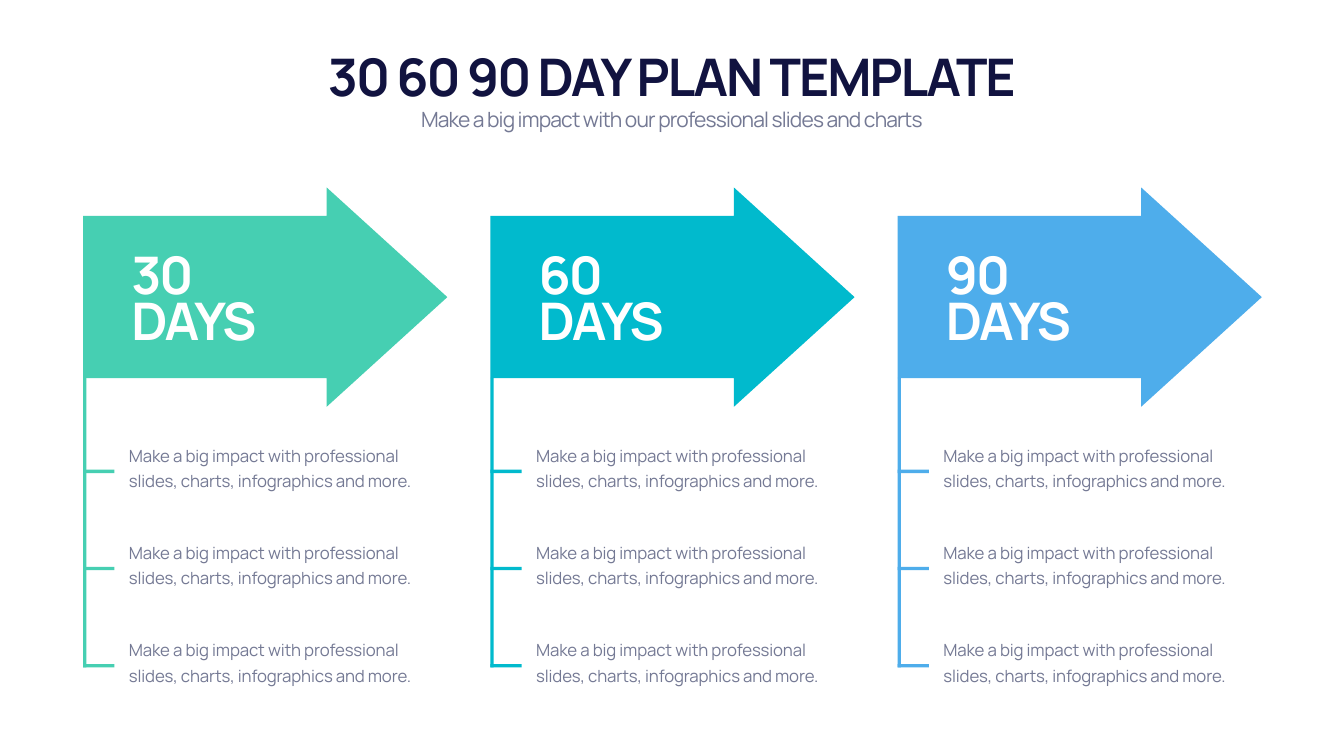
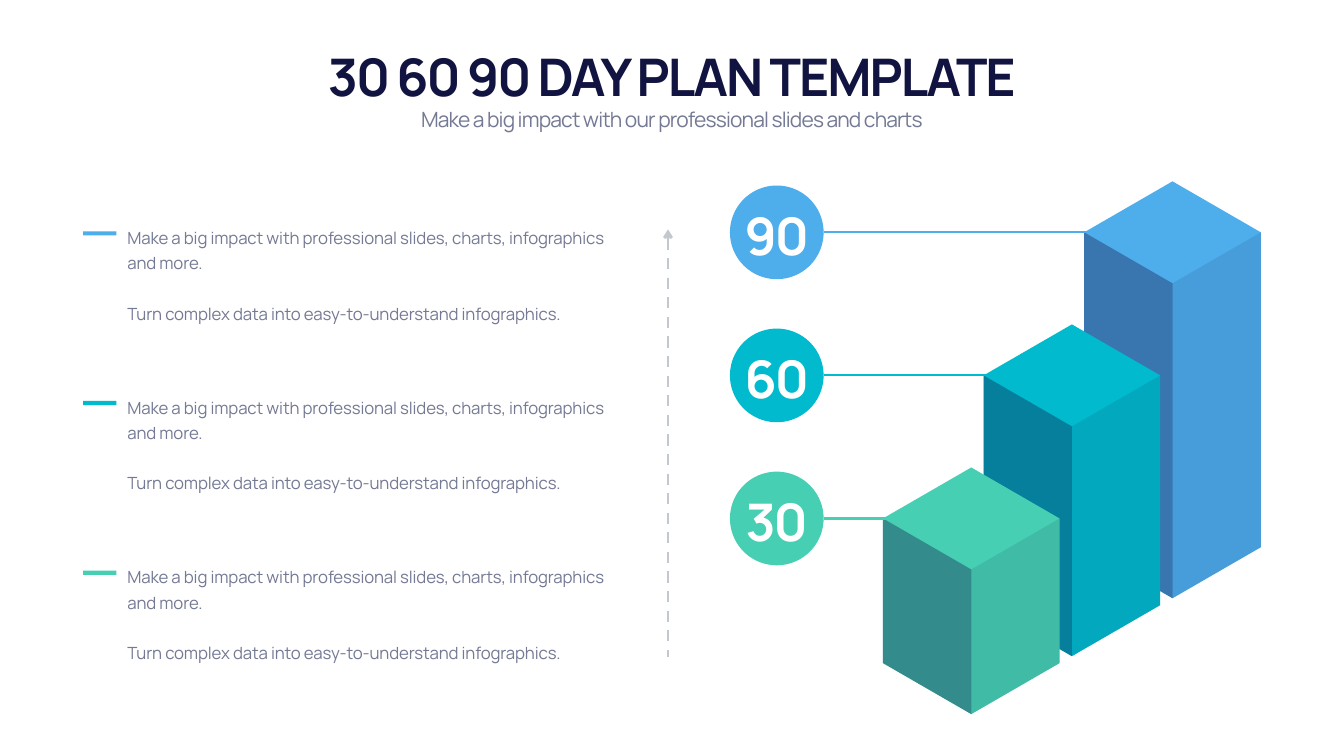
from lxml import etree
from pptx import Presentation
from pptx.dml.color import RGBColor
from pptx.enum.dml import MSO_LINE
from pptx.enum.shapes import MSO_CONNECTOR, MSO_SHAPE
from pptx.enum.text import MSO_ANCHOR, MSO_AUTO_SIZE, PP_ALIGN
from pptx.oxml.ns import qn
from pptx.util import Cm, Pt

RECT, OVAL, ARROW = MSO_SHAPE.RECTANGLE, MSO_SHAPE.OVAL, MSO_SHAPE.RIGHT_ARROW
STRAIGHT, DASH = MSO_CONNECTOR.STRAIGHT, MSO_LINE.DASH
TOP, MIDDLE, BOTTOM = MSO_ANCHOR.TOP, MSO_ANCHOR.MIDDLE, MSO_ANCHOR.BOTTOM
LEFT, CENTER = PP_ALIGN.LEFT, PP_ALIGN.CENTER
GROW, FIXED = MSO_AUTO_SIZE.SHAPE_TO_FIT_TEXT, MSO_AUTO_SIZE.NONE

# Shared palette, text styles and wording
NAVY, SHADE, GREY, SILVER, WHITE = "111340", "121143", "747994", "C3C8CE", "FFFFFF"
STAGES = [("30", "46CFB2"), ("60", "01BACD"), ("90", "4EADEB")]
MARGIN = 4.19
STYLES = {  # font format, colour, letter spacing in 1/100 pt, line spacing in pt
    "title": ({"size": Pt(74), "bold": True}, NAVY, -290, None),
    "subtitle": ({"size": Pt(30), "bold": False}, GREY, -120, None),
    "label": ({"size": Pt(74), "bold": True}, WHITE, -290, 65),
    "number": ({"size": Pt(74), "bold": True}, WHITE, -290, None),
    "body": ({"size": Pt(24), "bold": False}, GREY, -20, 36),
}
TITLE = "30 60 90 DAY PLAN TEMPLATE"
SUBTITLE = "Make a big impact with our professional slides and charts"
IMPACT = "Make a big impact with professional slides, charts, infographics and more."
TURN = "Turn complex data into easy-to-understand infographics."


def rgb(color):
    return RGBColor.from_string(color)


class Deck:
    """Holds the style and the slide being drawn; lengths are in cm."""

    font = "Manrope"

    def __init__(self, width, height):
        self.prs = Presentation()
        self.prs.slide_width, self.prs.slide_height = Cm(width), Cm(height)
        self.s = None

    def slide(self, title, subtitle):
        self.s = self.prs.slides.add_slide(self.prs.slide_layouts[0])
        heads = [("title", title, 2.08, 3.43, BOTTOM),
                 ("subtitle", subtitle, 5.26, 1.55, TOP)]
        for sp, (style, words, y, h, anchor) in zip(self.s.placeholders, heads):
            sp.left, sp.top, sp.width, sp.height = Cm(4.22), Cm(y), Cm(59.26), Cm(h)
            self.fill_text(sp, [words], style, CENTER, anchor)

    def fill_text(self, sp, lines, style, align=LEFT, anchor=MIDDLE):
        font, color, spacing, leading = STYLES[style]
        tf = sp.text_frame
        tf.word_wrap, tf.vertical_anchor, tf.auto_size = True, anchor, GROW
        for i, line in enumerate(lines):
            p = tf.add_paragraph() if i else tf.paragraphs[0]
            p.alignment = align
            p.space_before = Pt(leading if i else 0)
            if leading:
                p.line_spacing = Pt(leading)
            r = p.add_run()
            r.text = line
            for key, value in {**font, "name": self.font}.items():
                setattr(r.font, key, value)
            r.font.color.rgb = rgb(color)
            r._r.get_or_add_rPr().set("spc", str(spacing))

    def text(self, x, y, w, h, lines, style, anchor=MIDDLE):
        sp = self.s.shapes.add_textbox(Cm(x), Cm(y), Cm(w), Cm(h))
        self.fill_text(sp, lines, style, anchor=anchor)

    def paint(self, sp, color, alpha=None):
        sp.shadow.inherit = False
        sp.fill.solid()
        sp.fill.fore_color.rgb = rgb(color)
        sp.line.fill.background()
        if alpha:
            clr = sp._element.spPr.find(qn("a:solidFill"))[0]
            etree.SubElement(clr, qn("a:alpha")).set("val", str(alpha * 1000))

    def shape(self, kind, x, y, w, h, color):
        sp = self.s.shapes.add_shape(kind, Cm(x), Cm(y), Cm(w), Cm(h))
        self.paint(sp, color)
        return sp

    def line(self, x1, y1, x2, y2, color, width, dash=None, head=None):
        cn = self.s.shapes.add_connector(STRAIGHT, Cm(x1), Cm(y1), Cm(x2), Cm(y2))
        cn.line.color.rgb, cn.line.width = rgb(color), Pt(width)
        if dash:
            cn.line.dash_style = dash
        spPr = cn._element.spPr
        if head:
            etree.SubElement(spPr.find(qn("a:ln")), qn("a:headEnd")).set("type", head)
        etree.SubElement(spPr, qn("a:effectLst"))

    def prism(self, cx, top, half, rise, height, color):
        """Isometric column: full outline, then a shade on each side face."""
        west, east = cx - half, cx + half
        shoulder, front = top + rise, top + 2 * rise
        foot, base = shoulder + height, front + height
        faces = [
            ([(cx, top), (east, shoulder), (east, foot), (cx, base),
              (west, foot), (west, shoulder)], color, None),
            ([(west, shoulder), (cx, front), (cx, base), (west, foot)], SHADE, 35),
            ([(east, shoulder), (cx, front), (cx, base), (east, foot)], SHADE, 10),
        ]
        group = self.s.shapes.add_group_shape()
        for points, fill, alpha in faces:
            start, *rest = [(Cm(x), Cm(y)) for x, y in points]
            fb = group.shapes.build_freeform(*start)
            fb.add_line_segments(rest, close=True)
            self.paint(fb.convert_to_shape(), fill, alpha)

    def disc(self, x, y, size, color, number):
        sp = self.shape(OVAL, x, y, size, size, color)
        self.fill_text(sp, [number], "number", CENTER)
        frame = {"word_wrap": False, "auto_size": FIXED, "margin_left": 0,
                 "margin_right": 0, "margin_top": Cm(0.25), "margin_bottom": 0}
        for key, value in frame.items():
            setattr(sp.text_frame, key, value)


deck = Deck(67.72, 38.1)

# Slide 1: three arrows, each with a rail of three notes
deck.slide(TITLE, SUBTITLE)
RAIL = 0.17
for col, (days, color) in enumerate(STAGES):
    x = MARGIN + col * 20.52
    arrow = deck.shape(ARROW, x, 9.45, 18.35, 11.05, color)
    arrow.adjustments[0], arrow.adjustments[1] = 0.74, 0.55
    deck.text(x + 2.18, 12.83, 8.23, 5.11, [days + " DAYS"], "label")
    deck.shape(RECT, x, 19.05, RAIL, 14.58, color)
    for row in range(3):
        y = 23.67 + row * 4.9
        deck.shape(RECT, x, y, 1.57, RAIL, color)
        deck.text(x + 2.06, y - 1.58, 16.05, 2.77, [IMPACT], "body")

# Slide 2: notes, a dashed upward arrow and rising columns, back to front
deck.slide(TITLE, SUBTITLE)
deck.line(33.66, 11.56, 33.66, 33.12, SILVER, 4, DASH, "arrow")
HALF, RISE, DISC, DISC_X = 4.45, 2.57, 4.72, 36.78
for row, (days, color) in enumerate(reversed(STAGES)):
    # Note with its colour key
    y = 11.66 + row * 8.55
    deck.shape(RECT, MARGIN, y, 1.68, 0.21, color)
    deck.text(6.17, y - 0.56, 24.69, 5.33, [IMPACT, TURN], "body", TOP)
    # Column, leader line and numbered disc
    cx, top = 59.08 - row * 5.07, 9.14 + row * 7.21
    level = top + RISE
    deck.prism(cx, top, HALF, RISE, 15.87 - row * 4.29, color)
    deck.line(DISC_X + DISC, level, cx, level, color, 3)
    deck.disc(DISC_X, level - DISC / 2, DISC, color, days)

deck.prs.save("out.pptx")
